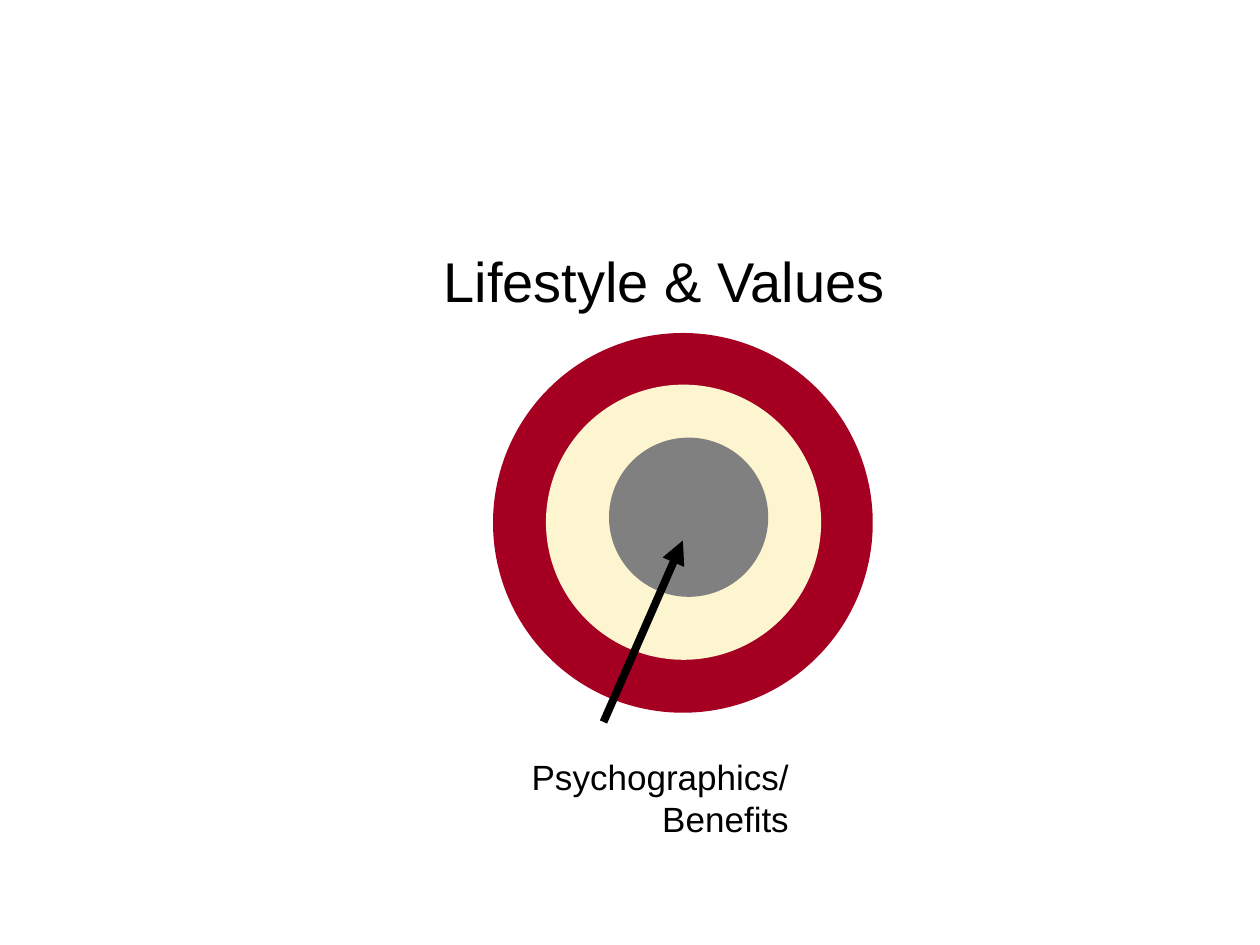
from pptx import Presentation
from pptx.dml.color import RGBColor
from pptx.enum.shapes import MSO_CONNECTOR as CONN, MSO_SHAPE as SHAPE
from pptx.enum.text import MSO_ANCHOR as ANCHOR, MSO_AUTO_SIZE as FIT, PP_ALIGN as ALIGN
from pptx.oxml.ns import qn
from pptx.util import Inches, Pt
from lxml.etree import SubElement

BLACK = "000000"
RINGS = [
    (3.92, 2.65, 3, "A50021"),
    (4.34, 3.06, 2.17, "FDF5CF"),
    (4.84, 3.48, 1.25, "808080"),
]


def rgb(code):
    """Turn a hex string into a colour."""
    return RGBColor.from_string(code)


def add_ring(shapes, x, y, size, color):
    """Add one filled circle of the target."""
    s = shapes.add_shape(SHAPE.OVAL, Inches(x), Inches(y), Inches(size), Inches(size))
    s.shadow.inherit = False
    s.fill.solid()
    s.fill.fore_color.rgb = rgb(color)
    s.line.color.rgb = rgb(color)
    s.line.width = Pt(1)


def add_arrow(shapes, x1, y1, x2, y2):
    """Add a thick black arrow pointing at its end."""
    s = shapes.add_connector(CONN.STRAIGHT, Inches(x1), Inches(y1), Inches(x2), Inches(y2))
    s.line.color.rgb = rgb(BLACK)
    s.line.width = Pt(4.5)
    SubElement(s.line._get_or_add_ln(), qn("a:tailEnd"), type="triangle")
    SubElement(s._element.spPr, qn("a:effectLst"))


def set_text(s, text, size, align):
    """Write and format the text of a box or placeholder."""
    tf = s.text_frame
    tf.text = text
    tf.word_wrap = True
    tf.auto_size = FIT.NONE
    tf.vertical_anchor = ANCHOR.TOP
    for p in tf.paragraphs:
        p.alignment = align
        for r in p.runs:
            r.font.name = "Arial"
            r.font.size = Pt(size)
            r.font.color.rgb = rgb(BLACK)


def set_title(s, text, x, y, w, h):
    """Move the title placeholder and fill it."""
    s.left, s.top, s.width, s.height = Inches(x), Inches(y), Inches(w), Inches(h)
    set_text(s, text, 32, ALIGN.LEFT)


def add_label(shapes, text, x, y, w, h):
    """Add a right-aligned label."""
    s = shapes.add_textbox(Inches(x), Inches(y), Inches(w), Inches(h))
    set_text(s, text, 20, ALIGN.RIGHT)


def main():
    """Build the target slide."""
    prs = Presentation()
    prs.slide_width, prs.slide_height = Inches(10), Inches(7.5)
    shapes = prs.slides.add_slide(prs.slide_layouts[5]).shapes
    set_title(shapes.title, "Lifestyle & Values", 3.42, 1.91, 3.9, 0.64)
    for ring in RINGS:
        add_ring(shapes, *ring)
    add_label(shapes, "Psychographics/\nBenefits", 3.85, 5.95, 2.51, 0.76)
    add_arrow(shapes, 4.79, 5.73, 5.42, 4.29)
    prs.save("out.pptx")


if __name__ == "__main__":
    main()
